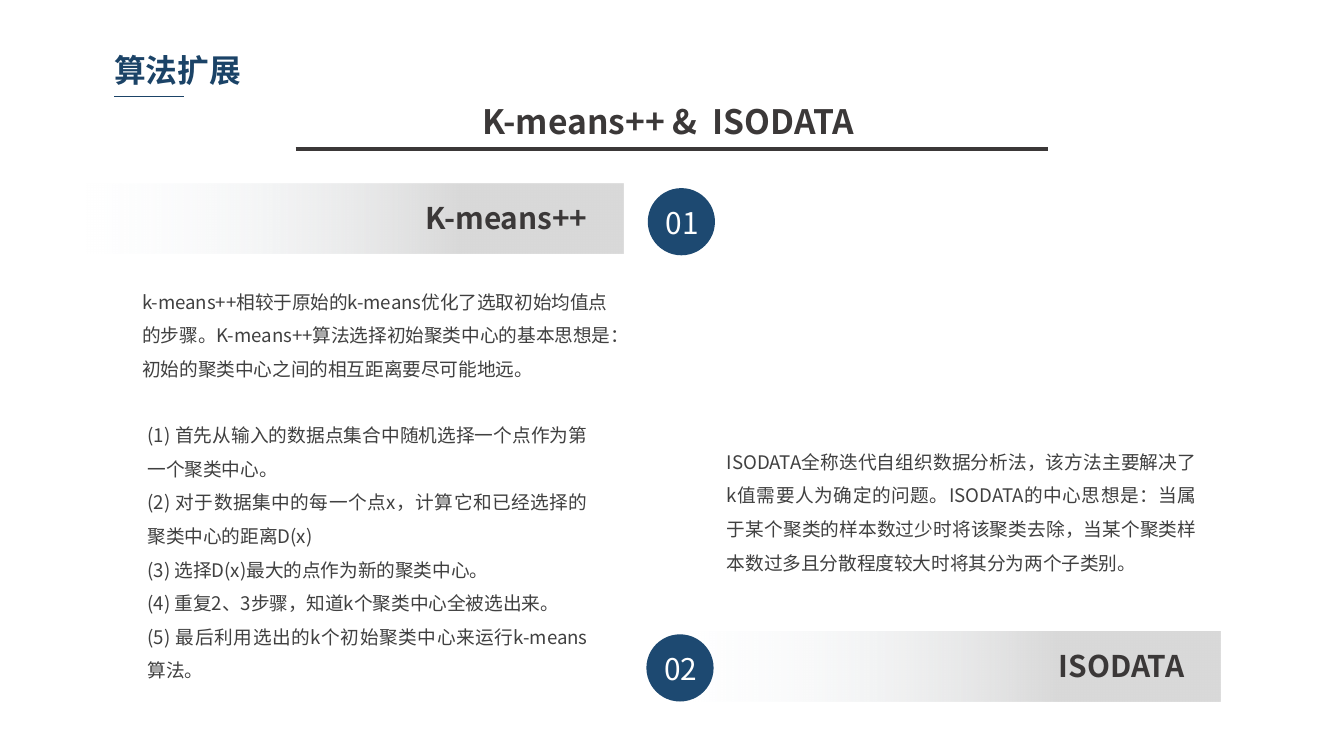
from dataclasses import dataclass

from lxml.etree import SubElement
from pptx import Presentation
from pptx.dml.color import RGBColor
from pptx.enum.shapes import MSO_CONNECTOR, MSO_SHAPE
from pptx.enum.text import MSO_ANCHOR, MSO_AUTO_SIZE, PP_ALIGN
from pptx.oxml.ns import qn
from pptx.util import Inches, Pt


@dataclass(frozen=True)
class Theme:
    """Colours, font and type sizes of the deck."""
    font: str = "Noto Sans CJK SC"
    navy: str = "1B4367"
    badge: str = "1D4971"
    ink: str = "3B3838"
    body: str = "404040"
    white: str = "FFFFFF"
    fade: str = "F7FAFD"
    band: str = "D9D9D9"
    title_size: int = 18
    section_size: int = 17
    heading_size: int = 16
    body_size: int = 10


class SlideBuilder:
    """Draws styled elements on the current slide."""

    def __init__(self, slide, theme):
        """Keep the slide and its theme."""
        self.shapes = slide.shapes
        self.theme = theme

    def text(self, box, lines, size, color, bold=False, align=PP_ALIGN.LEFT,
             spacing=None, anchor=MSO_ANCHOR.TOP, insets=(0.1, 0.05)):
        """Add a wrapping text box with one paragraph per line."""
        tf = self.shapes.add_textbox(*map(Inches, box)).text_frame
        tf.word_wrap = True
        tf.auto_size = MSO_AUTO_SIZE.SHAPE_TO_FIT_TEXT
        tf.vertical_anchor = anchor
        tf.margin_left = tf.margin_right = Inches(insets[0])
        tf.margin_top = tf.margin_bottom = Inches(insets[1])
        tf.text = "\n".join(lines)
        for p in tf.paragraphs:
            p.alignment = align
            p.line_spacing = spacing
            for r in p.runs:
                r.font.size = Pt(size)
                r.font.bold = bold
                r.font.color.rgb = RGBColor.from_string(color)
                r.font.name = self.theme.font
                SubElement(r.font._element, qn("a:ea"), typeface=self.theme.font)

    def body(self, box, lines, align=PP_ALIGN.JUSTIFY):
        """Add running text."""
        self.text(box, lines, self.theme.body_size, self.theme.body,
                  align=align, spacing=1.5)

    def rule(self, left, right, y, color, width):
        """Add a horizontal line."""
        line = self.shapes.add_connector(
            MSO_CONNECTOR.STRAIGHT, Inches(left), Inches(y), Inches(right), Inches(y))
        line.line.color.rgb = RGBColor.from_string(color)
        line.line.width = Pt(width)
        SubElement(line._element.spPr, qn("a:effectLst"))

    def shape(self, kind, box):
        """Add a preset shape without outline or shadow."""
        sp = self.shapes.add_shape(kind, *map(Inches, box))
        sp.shadow.inherit = False
        sp.line.fill.background()
        return sp

    def band(self, left, top, label):
        """Add a heading on a band that fades out to the left."""
        fill = self.shape(MSO_SHAPE.RECTANGLE, (left, top, 4, 0.52)).fill
        fill.gradient()
        fill.gradient_angle = 0
        stops = zip(fill.gradient_stops, (0, 0.7), (self.theme.fade, self.theme.band))
        for stop, position, color in stops:
            stop.position = position
            stop.color.rgb = RGBColor.from_string(color)
        clear = fill.gradient_stops[0]._gs.find(qn("a:srgbClr"))
        SubElement(clear, qn("a:alpha"), val="0")
        self.text((left + 1.11, top + 0.07, 2.72, 0.37), [label],
                  self.theme.heading_size, self.theme.ink, bold=True,
                  align=PP_ALIGN.RIGHT)

    def badge(self, left, top, number):
        """Add a numbered circle."""
        fill = self.shape(MSO_SHAPE.OVAL, (left, top, 0.5, 0.5)).fill
        fill.solid()
        fill.fore_color.rgb = RGBColor.from_string(self.theme.badge)
        self.text((left + 0.01, top + 0.02, 0.49, 0.42), [number],
                  self.theme.heading_size, self.theme.white, align=PP_ALIGN.CENTER,
                  spacing=1.2, anchor=MSO_ANCHOR.MIDDLE)


def main():
    """Build and save the slide."""
    prs = Presentation()
    prs.slide_width = Inches(10)
    prs.slide_height = prs.slide_width * 9 // 16
    theme = Theme()
    s = SlideBuilder(prs.slides.add_slide(prs.slide_layouts[6]), theme)

    s.text((0.78, 0.34, 2.47, 0.36), ["算法扩展"], theme.section_size, theme.navy,
           bold=True, insets=(0.07, 0.04))
    s.rule(0.85, 1.37, 0.72, theme.navy, 0.75)
    s.text((1.97, 0.7, 6.06, 0.4), ["K-means++ &  ISODATA "], theme.title_size,
           theme.ink, bold=True, align=PP_ALIGN.CENTER)
    s.rule(2.2, 7.8, 1.11, theme.ink, 2)

    s.band(0.64, 1.37, "K-means++")
    s.badge(4.82, 1.4, "01")
    s.band(5.08, 4.7, "ISODATA")
    s.badge(4.81, 4.72, "02")

    s.body((0.96, 2.03, 3.69, 0.86), [
        "k-means++相较于原始的k-means优化了选取初始均值点的步骤。"
        "K-means++算法选择初始聚类中心的基本思想是："
        "初始的聚类中心之间的相互距离要尽可能地远。",
    ], align=PP_ALIGN.LEFT)
    s.body((5.31, 3.22, 3.69, 1.11), [
        "ISODATA全称迭代自组织数据分析法，该方法主要解决了k值需要人为确定的问题。"
        "ISODATA的中心思想是：当属于某个聚类的样本数过少时将该聚类去除，"
        "当某个聚类样本数过多且分散程度较大时将其分为两个子类别。",
    ])
    s.body((1, 3.02, 3.47, 2.12), [
        "(1) 首先从输入的数据点集合中随机选择一个点作为第一个聚类中心。",
        "(2) 对于数据集中的每一个点x，计算它和已经选择的聚类中心的距离D(x)",
        "(3) 选择D(x)最大的点作为新的聚类中心。",
        "(4) 重复2、3步骤，知道k个聚类中心全被选出来。",
        "(5) 最后利用选出的k个初始聚类中心来运行k-means算法。",
    ])

    prs.save("out.pptx")


if __name__ == "__main__":
    main()
